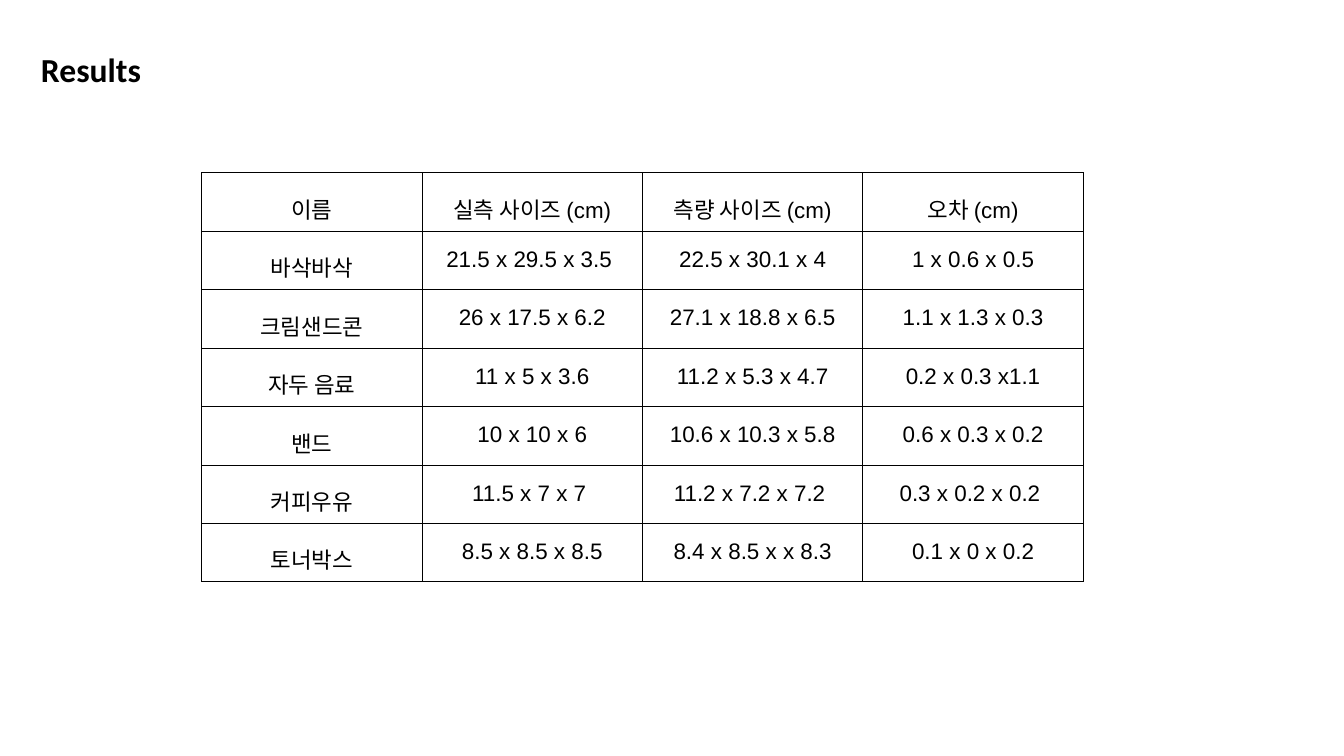
from pptx import Presentation
from pptx.dml.color import RGBColor
from pptx.enum.text import MSO_ANCHOR, PP_ALIGN
from pptx.oxml import parse_xml
from pptx.oxml.ns import nsdecls
from pptx.util import Inches, Pt

CENTER = PP_ALIGN.CENTER
MIDDLE = MSO_ANCHOR.MIDDLE
COLORS = {"text": "000000", "border": "000000"}
TITLE_FONT = {"name": "Calibri", "size": Pt(36), "bold": True}
CELL_FONT = {"name": "Arial", "size": Pt(24), "bold": False}
ROWS = [
    ["이름", "실측 사이즈 (cm)", "측량 사이즈 (cm)", "오차 (cm)"],
    ["바삭바삭", "21.5 x 29.5 x 3.5 ", "22.5 x 30.1 x 4", "1 x 0.6 x 0.5"],
    ["크림샌드콘", "26 x 17.5 x 6.2", "27.1 x 18.8 x 6.5", "1.1 x 1.3 x 0.3"],
    ["자두 음료", "11 x 5 x 3.6", "11.2 x 5.3 x 4.7", "0.2 x 0.3 x1.1"],
    ["밴드", "10 x 10 x 6", "10.6 x 10.3 x 5.8", "0.6 x 0.3 x 0.2"],
    ["커피우유", "11.5 x 7 x 7 ", "11.2 x 7.2 x 7.2 ", "0.3 x 0.2 x 0.2 "],
    ["토너박스", "8.5 x 8.5 x 8.5", "8.4 x 8.5 x x 8.3", "0.1 x 0 x 0.2"],
]
COLUMN_WIDTH = 3.28
ROW_HEIGHT = 0.87


def write(para, text, font):
    span = para.add_run()
    span.text = text
    for name, value in font.items():
        setattr(span.font, name, value)
    span.font.color.rgb = RGBColor.from_string(COLORS["text"])


def add_borders(cell):
    properties = cell._tc.get_or_add_tcPr()
    for side in ("lnL", "lnR", "lnT", "lnB"):
        properties.append(parse_xml(
            f'<a:{side} {nsdecls("a")} w="{Pt(1)}"><a:solidFill>'
            f'<a:srgbClr val="{COLORS["border"]}"/></a:solidFill></a:{side}>'))


deck = Presentation()
deck.slide_width = Inches(20)
deck.slide_height = Inches(11.25)
page = deck.slides.add_slide(deck.slide_layouts[6])

# Title
box = page.shapes.add_textbox(Inches(0.56), Inches(0.4), Inches(9), Inches(1.25))
frame = box.text_frame
frame.word_wrap = True
frame.vertical_anchor = MIDDLE
for side in ("left", "right", "top", "bottom"):
    setattr(frame, f"margin_{side}", Inches(0.05))
write(frame.paragraphs[0], "Results", TITLE_FONT)

# Table of measured sizes
table = page.shapes.add_table(
    len(ROWS), len(ROWS[0]), Inches(3), Inches(2.57),
    Inches(COLUMN_WIDTH * len(ROWS[0])), Inches(ROW_HEIGHT * len(ROWS))).table
table.first_row = False
table.horz_banding = False
for column in table.columns:
    column.width = Inches(COLUMN_WIDTH)
for row, texts in zip(table.rows, ROWS):
    row.height = Inches(ROW_HEIGHT)
    for cell, text in zip(row.cells, texts):
        add_borders(cell)
        cell.fill.background()
        para = cell.text_frame.paragraphs[0]
        para.alignment = CENTER
        para.line_spacing = 1.5
        write(para, text, CELL_FONT)

deck.save("out.pptx")
